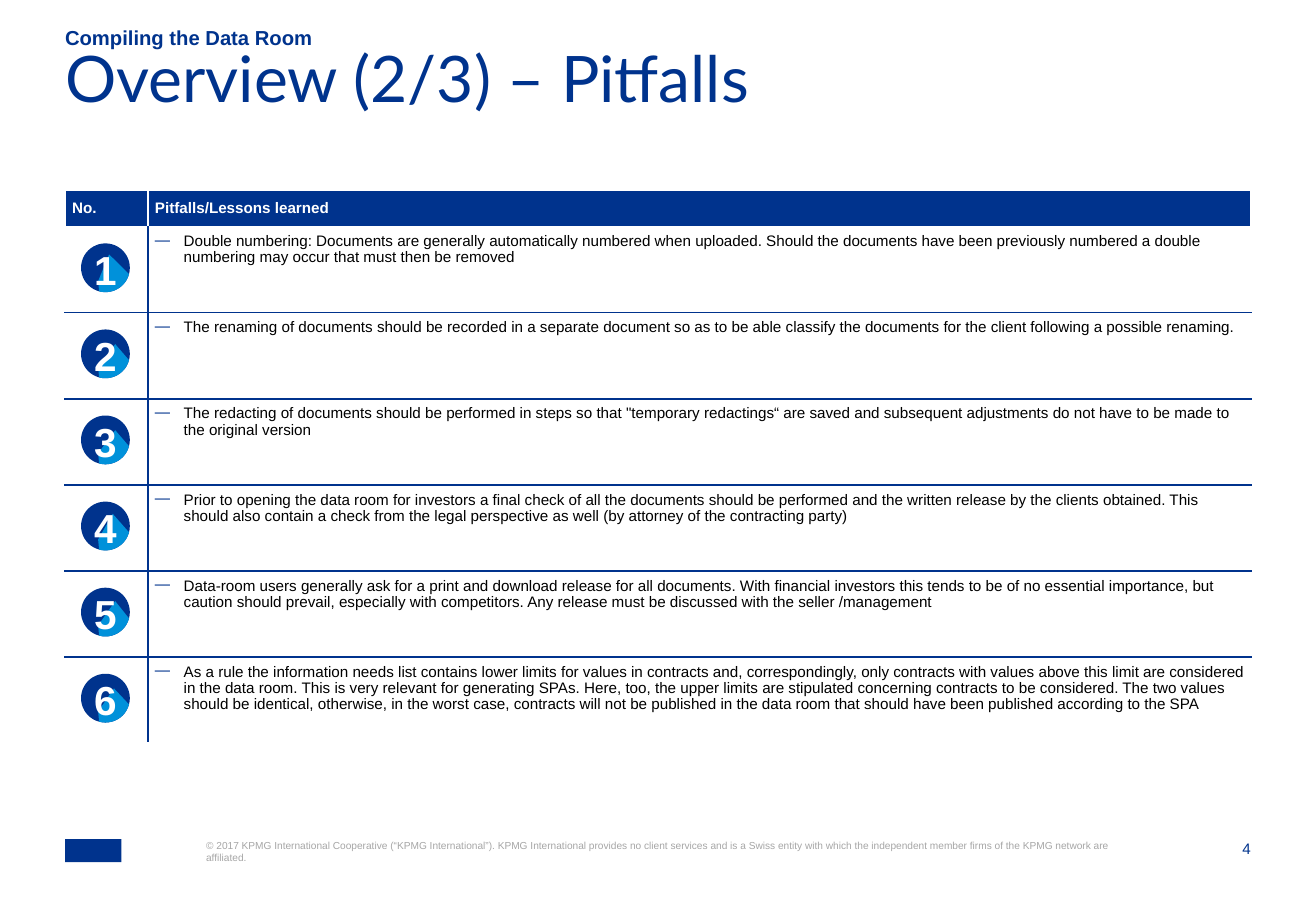
from math import cos, radians, sin

from lxml import etree
from pptx import Presentation
from pptx.dml.color import RGBColor
from pptx.enum.shapes import MSO_SHAPE
from pptx.enum.text import MSO_ANCHOR, MSO_AUTO_SIZE, PP_ALIGN
from pptx.oxml.ns import qn
from pptx.util import Cm, Pt

RECTANGLE, OVAL = MSO_SHAPE.RECTANGLE, MSO_SHAPE.OVAL
TOP, MIDDLE, BOTTOM = MSO_ANCHOR.TOP, MSO_ANCHOR.MIDDLE, MSO_ANCHOR.BOTTOM
LEFT, CENTER, RIGHT = PP_ALIGN.LEFT, PP_ALIGN.CENTER, PP_ALIGN.RIGHT
NO_AUTOFIT = MSO_AUTO_SIZE.NONE

COLORS = {"navy": "00338D", "azure": "0091DA", "white": "FFFFFF",
          "black": "000000", "grey": "A6A6A6"}
BORDER_SIDES = ("L", "R", "T", "B")

PITFALLS = [
    ("Double numbering: Documents are generally automatically numbered when uploaded. "
     "Should the documents have been previously numbered a double numbering may occur "
     "that must then be removed", (0.15, -0.55)),
    ("The renaming of documents should be recorded in a separate document so as to be "
     "able classify the documents for the client following a possible renaming.",
     (0.4, -0.4)),
    ("The redacting of documents should be performed in steps so that \"temporary "
     "redactings“ are saved and subsequent adjustments do not have to be made to the "
     "original version", (0.4, -0.4)),
    ("Prior to opening the data room for investors a final check of all the documents "
     "should be performed and the written release by the clients obtained. This should "
     "also contain a check from the legal perspective as well (by attorney of the "
     "contracting party)", (0.3, -0.5)),
    ("Data-room users generally ask for a print and download release for all documents. "
     "With financial investors this tends to be of no essential importance, but caution "
     "should prevail, especially with competitors. Any release must be discussed with "
     "the seller /management", (0.4, -0.45)),
    ("As a rule the information needs list contains lower limits for values in contracts "
     "and, correspondingly, only contracts with values above this limit are considered in "
     "the data room. This is very relevant for generating SPAs. Here, too, the upper "
     "limits are stipulated concerning contracts to be considered. The two values should "
     "be identical, otherwise, in the worst case, contracts will not be published in the "
     "data room that should have been published according to the SPA", (0.35, -0.4)),
]
COPYRIGHT = ("© 2017 KPMG International Cooperative (“KPMG International”). KPMG "
             "International provides no client services and is a Swiss entity with which "
             "the independent member firms of the KPMG network are affiliated.")


def rgb(color):
    return RGBColor.from_string(COLORS[color])


def style(paragraph, size, color, bold=False, font="Arial", align=LEFT):
    paragraph.alignment = align
    paragraph.font.name = font
    paragraph.font.size = Pt(size)
    paragraph.font.bold = bold
    paragraph.font.color.rgb = rgb(color)


def frame_text(frame, text, anchor=TOP):
    frame.margin_left = frame.margin_right = frame.margin_top = frame.margin_bottom = 0
    frame.word_wrap = True
    frame.auto_size = NO_AUTOFIT
    frame.vertical_anchor = anchor
    frame.text = text
    return frame.paragraphs[0]


def place(shape, left, top, width, height):
    shape.left, shape.top, shape.width, shape.height = left, top, width, height


def paint(shape, color):
    shape.shadow.inherit = False
    shape.fill.solid()
    shape.fill.fore_color.rgb = rgb(color)
    shape.line.fill.background()


def add_heading(slide, left, top, width):
    section = slide.placeholders[1]
    place(section, left, top, width, Cm(0.48))
    paragraph = frame_text(section.text_frame, "Compiling the Data Room", BOTTOM)
    properties = paragraph._p.get_or_add_pPr()
    properties.set("marL", "0")
    properties.set("indent", "0")
    etree.SubElement(properties, qn("a:buNone"))
    paragraph.space_before = Pt(0)
    style(paragraph, 12, "navy", bold=True)

    title = slide.shapes.title
    place(title, left, top + Cm(0.68), width, Cm(2))
    paragraph = frame_text(title.text_frame, "Overview (2/3) – Pitfalls")
    paragraph.line_spacing = 0.7
    style(paragraph, 38, "navy", font="Lato")


def set_borders(cell, colors):
    properties = cell._tc.get_or_add_tcPr()
    for position, (side, color) in enumerate(zip(BORDER_SIDES, colors)):
        line = etree.Element(qn(f"a:ln{side}"), w=str(Pt(1)))
        fill = etree.SubElement(line, qn("a:solidFill"))
        etree.SubElement(fill, qn("a:srgbClr"), val=COLORS[color])
        properties.insert(position, line)


def fill_cell(cell, text, fill, color, borders, bold=False, bullet=False):
    cell.fill.solid()
    cell.fill.fore_color.rgb = rgb(fill)
    set_borders(cell, borders)
    cell.margin_left = cell.margin_right = cell.margin_top = cell.margin_bottom = Cm(0.15)
    cell.vertical_anchor = TOP if bullet else MIDDLE
    cell.text = text
    paragraph = cell.text_frame.paragraphs[0]
    if bullet:
        properties = paragraph._p.get_or_add_pPr()
        properties.set("marL", str(Cm(0.6)))
        properties.set("indent", str(-Cm(0.6)))
        bullet_color = etree.SubElement(properties, qn("a:buClr"))
        etree.SubElement(bullet_color, qn("a:srgbClr"), val=COLORS["navy"])
        etree.SubElement(properties, qn("a:buChar"), char="—")
        paragraph.space_after = Pt(2)
    paragraph.line_spacing = 0.95
    style(paragraph, 9, color, bold)


def add_badge(slide, left, top, size, number, apex):
    radius = size / 2
    paint(slide.shapes.add_shape(OVAL, left, top, size, size), "navy")

    arc = [(cos(radians(angle)), sin(radians(angle))) for angle in range(15, 106, 5)]
    shade = [(round(left + radius * (1 + x)), round(top + radius * (1 + y)))
             for x, y in [apex, *arc, (-0.3, 0.55)]]
    outline = slide.shapes.build_freeform(*shade[0])
    outline.add_line_segments(shade[1:])
    paint(outline.convert_to_shape(), "azure")

    digit = slide.shapes.add_textbox(left, top + Cm(0.03), size, size)
    style(frame_text(digit.text_frame, str(number), MIDDLE), 24, "white",
          bold=True, align=CENTER)


def add_pitfall_table(slide, left, top, width):
    number_width, header_height, row_height = Cm(1.73), Cm(0.77), Cm(1.8)
    badge_size = Cm(1.02)
    count = len(PITFALLS)
    table = slide.shapes.add_table(count + 1, 2, left, top, width,
                                   header_height + count * row_height).table
    table.horz_banding = False
    table.columns[0].width = number_width
    table.columns[1].width = width - number_width
    table.rows[0].height = header_height
    for column, heading in enumerate(("No.", "Pitfalls/Lessons learned")):
        fill_cell(table.cell(0, column), heading, "navy", "white", ["white"] * 4, bold=True)

    for number, (lesson, apex) in enumerate(PITFALLS, 1):
        table.rows[number].height = row_height
        above = "white" if number == 1 else "navy"
        below = "white" if number == count else "navy"
        fill_cell(table.cell(number, 0), "", "white", "black",
                  ("white", "navy", above, below))
        fill_cell(table.cell(number, 1), lesson, "white", "black",
                  ("navy", "white", above, below), bullet=True)
        row_top = top + header_height + (number - 1) * row_height
        add_badge(slide, left + (number_width - badge_size) // 2 - Cm(0.02),
                  row_top + Cm(0.35), badge_size, number, apex)


def add_footer(slide, left, top, width):
    paint(slide.shapes.add_shape(RECTANGLE, left, top, Cm(1.18), Cm(0.48)), "navy")
    notice = slide.shapes.add_textbox(left + Cm(2.95), top, Cm(19.02), Cm(1.04))
    style(frame_text(notice.text_frame, COPYRIGHT), 6, "grey")
    number_width = Cm(1.1)
    page = slide.shapes.add_textbox(left + width - number_width, top, number_width, Cm(0.4))
    style(frame_text(page.text_frame, "4"), 9, "navy", align=RIGHT)


def main():
    deck = Presentation()
    deck.slide_width, deck.slide_height = Cm(27.51), Cm(19.05)
    slide = deck.slides.add_slide(deck.slide_layouts[1])
    left, width = Cm(1.36), Cm(24.79)
    add_heading(slide, left, Cm(0.56), width)
    add_pitfall_table(slide, left, Cm(3.97), width)
    add_footer(slide, left, Cm(17.55), width)
    deck.save("out.pptx")


if __name__ == "__main__":
    main()
